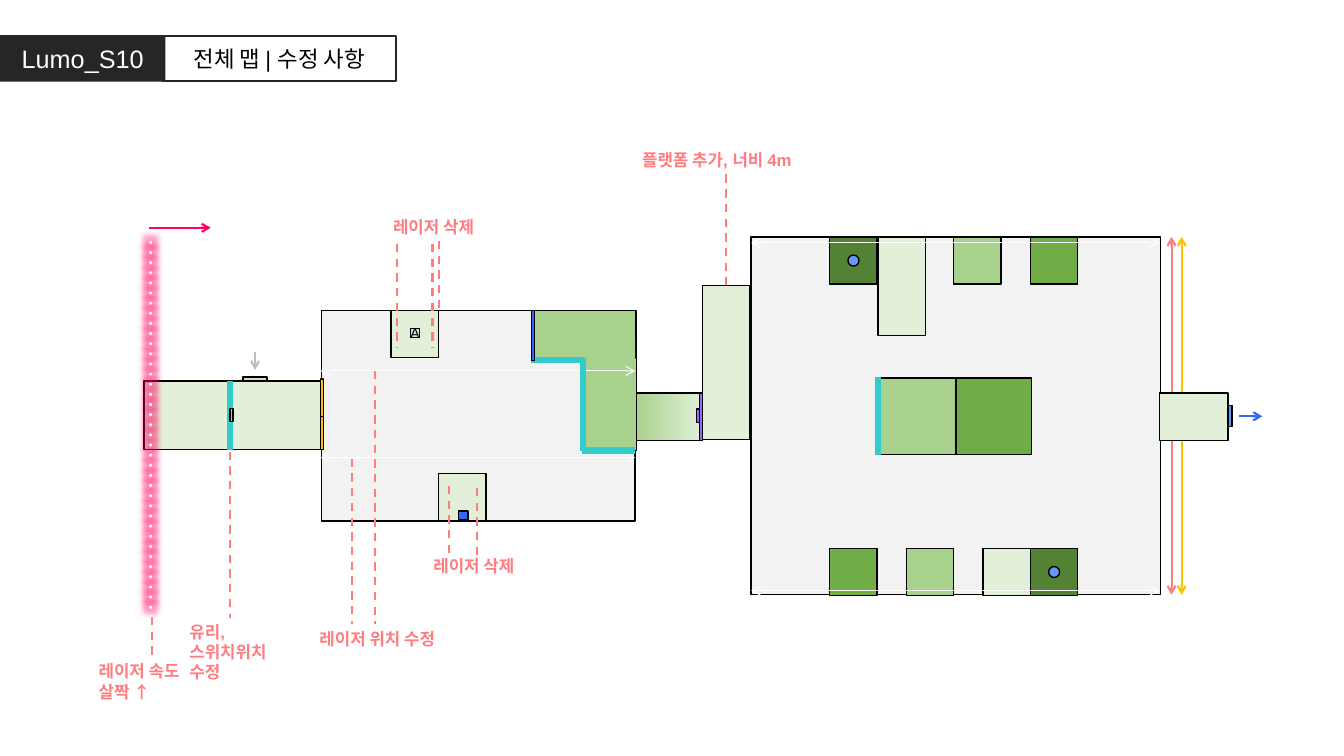
"""Build the full map slide with its revision notes."""
from dataclasses import dataclass

from lxml import etree
from pptx import Presentation
from pptx.dml.color import RGBColor
from pptx.enum.dml import MSO_LINE
from pptx.enum.shapes import MSO_CONNECTOR, MSO_SHAPE
from pptx.enum.text import MSO_ANCHOR, MSO_AUTO_SIZE, PP_ALIGN
from pptx.oxml.ns import qn
from pptx.util import Inches, Pt

RECTANGLE, OVAL = MSO_SHAPE.RECTANGLE, MSO_SHAPE.OVAL
STRAIGHT, DASH = MSO_CONNECTOR.STRAIGHT, MSO_LINE.DASH
MIDDLE, TOP = MSO_ANCHOR.MIDDLE, MSO_ANCHOR.TOP
CENTER, LEFT = PP_ALIGN.CENTER, PP_ALIGN.LEFT
GROW, FIXED = MSO_AUTO_SIZE.SHAPE_TO_FIT_TEXT, MSO_AUTO_SIZE.NONE
TITLE_ONLY = 5
TILE = 0.47


@dataclass(frozen=True)
class Theme:
    """Hold the colours, font and sizes of the slide."""
    font: str = "Arial"
    code_size: int = 18
    title_size: int = 16
    note_size: int = 12
    mark_size: int = 10
    ink: str = "000000"
    white: str = "FFFFFF"
    dark: str = "262626"
    floor: str = "F2F2F2"
    gray: str = "D9D9D9"
    entry: str = "BFBFBF"
    pale: str = "E2F0D9"
    light: str = "A9D18E"
    green: str = "70AD47"
    deep: str = "548235"
    glass: str = "33CCCC"
    blue: str = "3366FF"
    sky: str = "6699FF"
    purple: str = "9966FF"
    gold: str = "FFC000"
    note: str = "FF7C80"
    laser: str = "FF0066"


THEME = Theme()


def rgb(color):
    """Turn a hex string into a colour."""
    return RGBColor.from_string(color)


def write(shape, text, size=THEME.note_size, color=THEME.ink, bold=False,
          align=LEFT, anchor=TOP, wrap=True, grow=False):
    """Put formatted text into a shape, one paragraph for each line."""
    frame = shape.text_frame
    frame.word_wrap = wrap
    frame.auto_size = GROW if grow else FIXED
    frame.vertical_anchor = anchor
    for index, words in enumerate(text.split("\n")):
        para = frame.add_paragraph() if index else frame.paragraphs[0]
        para.alignment = align
        span = para.add_run()
        span.text = words
        span.font.name, span.font.size = THEME.font, Pt(size)
        span.font.bold, span.font.color.rgb = bold, rgb(color)


def add_box(shapes, left, top, width, height, fill, line=THEME.ink, kind=RECTANGLE):
    """Add a flat preset shape, outlined unless line is None."""
    box = shapes.add_shape(kind, Inches(left), Inches(top), Inches(width), Inches(height))
    box.shadow.inherit = False
    box.fill.solid()
    box.fill.fore_color.rgb = rgb(fill)
    if line:
        box.line.color.rgb, box.line.width = rgb(line), Pt(1)
    else:
        box.line.fill.background()
    return box


def add_boxes(page, rows):
    """Add outlined rectangles from rows of place and fill."""
    for row in rows:
        add_box(page.shapes, *row)


def add_line(page, start, end, color, width=1.5, dash=False, ends=()):
    """Add a straight line with arrowheads at the named ends."""
    line = page.shapes.add_connector(STRAIGHT, *(Inches(value) for value in (*start, *end)))
    line.line.color.rgb, line.line.width = rgb(color), Pt(width)
    if dash:
        line.line.dash_style = DASH
    outline = line.line._get_or_add_ln()
    for end_name in ends:
        etree.SubElement(outline, qn(f"a:{end_name}"), type="arrow")
    etree.SubElement(line._element.spPr, qn("a:effectLst"))


def add_span_arrow(page, start, end, color, width=1.5):
    """Add a line with an arrowhead at both ends."""
    add_line(page, start, end, color, width, ends=("headEnd", "tailEnd"))


def add_note(page, text, left, top, width, height=0.3):
    """Add a bold revision note."""
    box = page.shapes.add_textbox(Inches(left), Inches(top), Inches(width), Inches(height))
    write(box, text, color=THEME.note, bold=True, grow=True)


def add_header(page):
    """Add the stage code and the slide title."""
    code = add_box(page.shapes, 0, 0.35, 1.64, 0.46, THEME.dark, None)
    write(code, "Lumo_S10", size=THEME.code_size, color=THEME.white, align=CENTER, anchor=MIDDLE)
    title = page.shapes.title
    title.left, title.top, title.width, title.height = map(Inches, (1.61, 0.36, 2.32, 0.44))
    title.line.color.rgb, title.line.width = rgb(THEME.dark), Pt(1.5)
    write(title, "전체 맵 | 수정 사항", size=THEME.title_size, align=CENTER, anchor=MIDDLE)


def add_large_room(page):
    """Add the right room with its platforms, ramp and exit."""
    t = THEME
    ramp = add_box(page.shapes, 6.3, 3.9, 0.67, TILE, t.light)
    ramp.fill.gradient()
    ramp.fill.gradient_angle = 0
    for stop, color in zip(ramp.fill.gradient_stops, (t.light, t.pale)):
        stop.color.rgb = rgb(color)
    add_boxes(page, [
        (7.45, 2.35, 4.06, 3.55, t.floor),
        (6.91, 4.06, 0.03, 0.13, t.purple), (6.94, 3.9, 0.03, TILE, t.purple),
        (8.71, 2.35, TILE, 0.98, t.pale),
        (8.71, 3.75, 0.77, 0.76, t.light), (9.48, 3.75, 0.75, 0.76, t.green)])
    tiles = {2.35: ((8.23, t.deep), (9.46, t.light), (10.22, t.green)),
             5.44: ((8.23, t.green), (8.99, t.light), (9.75, t.pale), (10.22, t.deep))}
    for top, row in tiles.items():
        add_boxes(page, [(left, top, TILE, TILE, fill) for left, fill in row])
    for top in (2.41, 5.86):
        add_span_arrow(page, (7.45, top), (11.5, top), t.white, 0.75)
    for left, color in ((11.72, t.gold), (11.62, t.note)):
        add_span_arrow(page, (left, 5.9), (left, 2.35), color)
    add_boxes(page, [(11.5, 3.9, 0.68, TILE, t.pale), (12.18, 4.02, 0.04, 0.21, t.sky)])
    add_line(page, (12.29, 4.13), (12.52, 4.13), t.blue, ends=("tailEnd",))
    for left, top in ((8.41, 2.53), (10.4, 5.62)):
        add_box(page.shapes, left, top, 0.11, 0.11, t.sky, kind=OVAL)
    add_line(page, (8.71, 3.74), (8.71, 4.51), t.glass, 4.5)


def add_small_room(page):
    """Add the left room with its corridor, doors and glass walls."""
    t = THEME
    add_boxes(page, [(3.19, 3.08, 3.11, 2.09, t.floor), (1.43, 3.78, 1.75, 0.68, t.pale),
                     (2.41, 3.74, 0.24, 0.04, t.gray)])
    add_line(page, (2.28, 3.78), (2.28, 4.46), t.glass, 4.5)
    add_line(page, (1.48, 2.26), (2.09, 2.26), t.laser, ends=("tailEnd",))
    add_line(page, (2.53, 3.49), (2.53, 3.67), t.entry, ends=("tailEnd",))
    add_boxes(page, [
        (2.28, 4.05, 0.03, 0.13, t.gold),
        (3.18, 4.09, 0.03, 0.37, t.gold), (3.18, 3.76, 0.03, 0.37, t.gold),
        (3.88, 3.08, TILE, TILE, t.pale), (4.35, 4.7, TILE, TILE, t.pale),
        (5.27, 3.08, 1.04, TILE, t.light), (5.79, 3.55, 0.52, 0.92, t.light),
        (5.79, 3.35, 0.51, 0.92, t.light, None)])
    for top in (3.68, 4.54):
        add_span_arrow(page, (3.18, top), (6.3, top), t.white, 0.75)
    for start, end in (((5.27, 3.57), (5.79, 3.57)), ((5.78, 3.55), (5.78, 4.47)),
                       ((5.77, 4.47), (6.3, 4.47))):
        add_line(page, start, end, t.glass, 4.5)
    add_boxes(page, [(4.55, 5.07, 0.09, 0.09, t.blue), (5.27, 3.08, 0.03, 0.5, t.blue)])
    mark = add_box(page.shapes, 4.07, 3.26, 0.09, 0.09, t.gray)
    frame = mark.text_frame
    frame.margin_left = frame.margin_right = frame.margin_top = frame.margin_bottom = 0
    write(mark, "A", size=t.mark_size, align=CENTER, anchor=MIDDLE, wrap=False)


def add_laser(page, count=37, first=2.39, last=6.01):
    """Add the laser as a column of evenly spaced glowing dots."""
    laser = page.shapes.add_group_shape()
    for index in range(count):
        top = first + index * (last - first) / (count - 1)
        dot = add_box(laser.shapes, 1.48, top, 0.03, 0.03, THEME.white, None, OVAL)
        effects = dot._element.spPr.find(qn("a:effectLst"))
        glow = etree.SubElement(effects, qn("a:glow"), rad=str(Pt(8)))
        color = etree.SubElement(glow, qn("a:srgbClr"), val=THEME.laser)
        etree.SubElement(color, qn("a:alpha"), val="40000")


def add_revisions(page):
    """Add the added platform, the notes and their dashed leaders."""
    add_box(page.shapes, 6.97, 2.83, TILE, 1.53, THEME.pale)
    for left, top, bottom in ((2.28, 4.48, 6.13), (1.51, 6.12, 6.51), (3.49, 4.55, 6.19),
                              (3.72, 3.68, 6.19), (4.35, 2.39, 3.08), (7.2, 1.73, 2.83),
                              (3.94, 2.42, 3.45), (4.29, 2.42, 3.45), (4.45, 4.82, 5.52),
                              (4.73, 4.84, 5.53)):
        add_line(page, (left, top), (left, bottom), THEME.note, dash=True)
    add_note(page, "유리, 스위치위치 수정", 1.78, 6.12, 1.26, 0.5)
    add_note(page, "레이저 속도\n살짝 ↑", 0.88, 6.51, 1.26, 0.5)
    add_note(page, "레이저 위치 수정", 3.07, 6.19, 1.57)
    add_note(page, "플랫폼 추가, 너비 4m", 6.27, 1.44, 2.31)
    for left, top in ((3.8, 2.1), (4.2, 5.46)):
        add_note(page, "레이저 삭제", left, top, 1.57)


def main():
    """Build and save the deck."""
    deck = Presentation()
    deck.slide_width, deck.slide_height = Inches(13.33), Inches(7.5)
    page = deck.slides.add_slide(deck.slide_layouts[TITLE_ONLY])
    add_header(page)
    add_large_room(page)
    add_small_room(page)
    add_laser(page)
    add_revisions(page)
    deck.save("out.pptx")


main()
